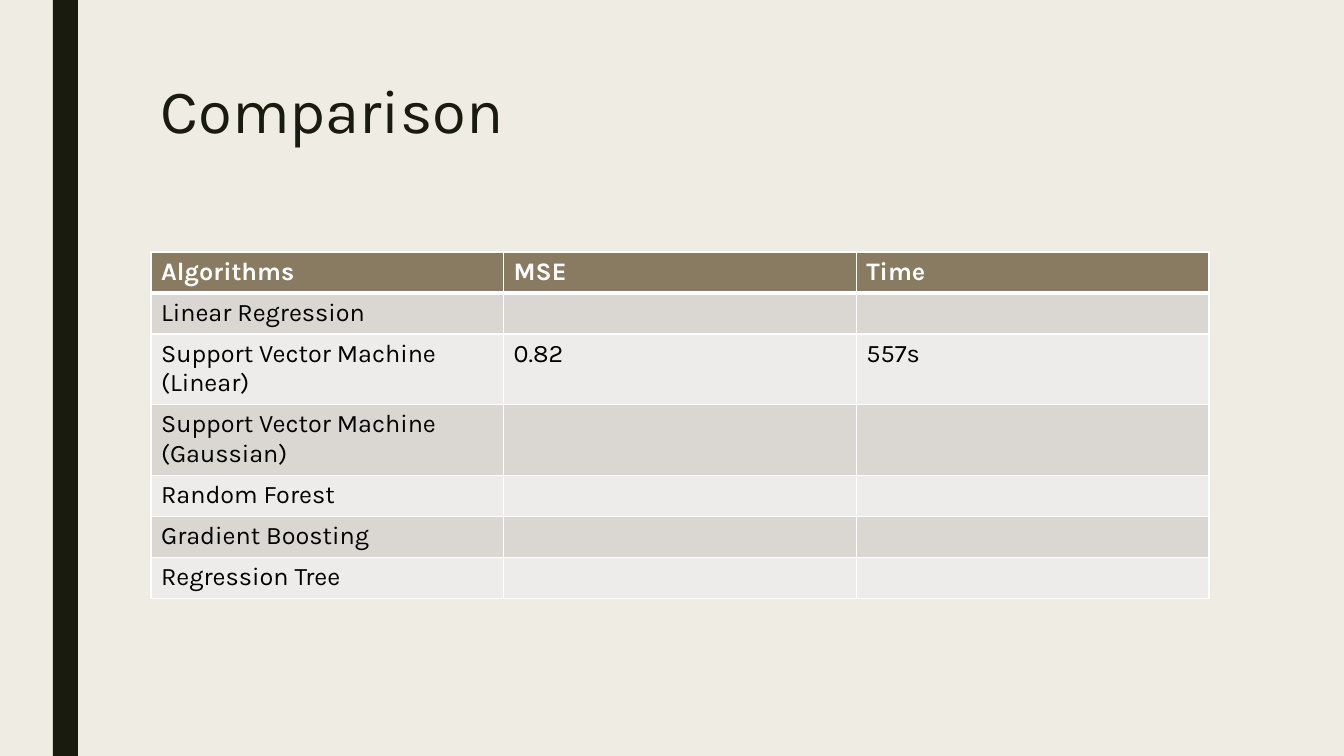
from lxml import etree
from pptx import Presentation
from pptx import util as u
from pptx.dml import color
from pptx.enum import shapes, text
from pptx.oxml import ns

SCALE = 914400 / 100.8
FONT = "Karla"
DARK, WHITE, BLACK = "191B0E", "FFFFFF", "000000"
HEAD, BANDS = "897B61", ("EDECEA", "DAD7D2")
ROWS = [
    ("Algorithms", "MSE", "Time"),
    ("Linear Regression", "", ""),
    ("Support Vector Machine (Linear)", "0.82", "557s"),
    ("Support Vector Machine (Gaussian)", "", ""),
    ("Random Forest", "", ""),
    ("Gradient Boosting", "", ""),
    ("Regression Tree", "", ""),
]


def px(size):
    return u.Emu(round(size * SCALE))


def rgb(code):
    return color.RGBColor.from_string(code)


def paint(fill, code):
    fill.solid()
    fill.fore_color.rgb = rgb(code)


def style(font, code, **form):
    for key, value in {"name": FONT, **form}.items():
        setattr(font, key, value)
    font.color.rgb = rgb(code)


def edge(cell, side, width):
    line = etree.SubElement(cell._tc.get_or_add_tcPr(), ns.qn("a:ln" + side),
                            w=str(u.Pt(width)))
    fill = etree.SubElement(line, ns.qn("a:solidFill"))
    etree.SubElement(fill, ns.qn("a:srgbClr"), val=WHITE)


def add_bar(slide, box):
    bar = slide.shapes.add_shape(shapes.MSO_SHAPE.RECTANGLE, *map(px, box))
    bar.shadow.inherit = False
    paint(bar.fill, DARK)
    bar.line.fill.background()


def add_title(slide, box, words):
    frame = slide.shapes.add_textbox(*map(px, box)).text_frame
    frame.word_wrap = True
    frame.vertical_anchor = text.MSO_ANCHOR.TOP
    para = frame.paragraphs[0]
    para.text = words
    para.line_spacing = 0.89
    style(para.font, DARK, size=u.Pt(44))


def add_grid(slide, box, rows):
    frame = slide.shapes.add_table(len(rows), len(rows[0]), *map(px, box))
    grid = frame.table
    for y, row in enumerate(rows):
        grid.rows[y].height = px(41)
        for x, words in enumerate(row):
            cell = grid.cell(y, x)
            cell.text = words
            style(cell.text_frame.paragraphs[0].font,
                  BLACK if y else WHITE, size=u.Pt(18), bold=y == 0)
            for side in "LRTB":
                thick = (y, side) in ((0, "B"), (1, "T"))
                edge(cell, side, 3 if thick else 1)
            paint(cell.fill, BANDS[y % 2] if y else HEAD)
    frame.height = px(box[3])


def main():
    deck = Presentation()
    deck.slide_width, deck.slide_height = px(1344), px(756)
    slide = deck.slides.add_slide(deck.slide_layouts[6])
    paint(slide.background.fill, "EFEDE3")
    add_bar(slide, (53, 0, 25, 756))
    add_title(slide, (151, 76, 1058, 163), "Comparison")
    add_grid(slide, (151, 252, 1058, 346), ROWS)
    deck.save("out.pptx")


if __name__ == "__main__":
    main()
